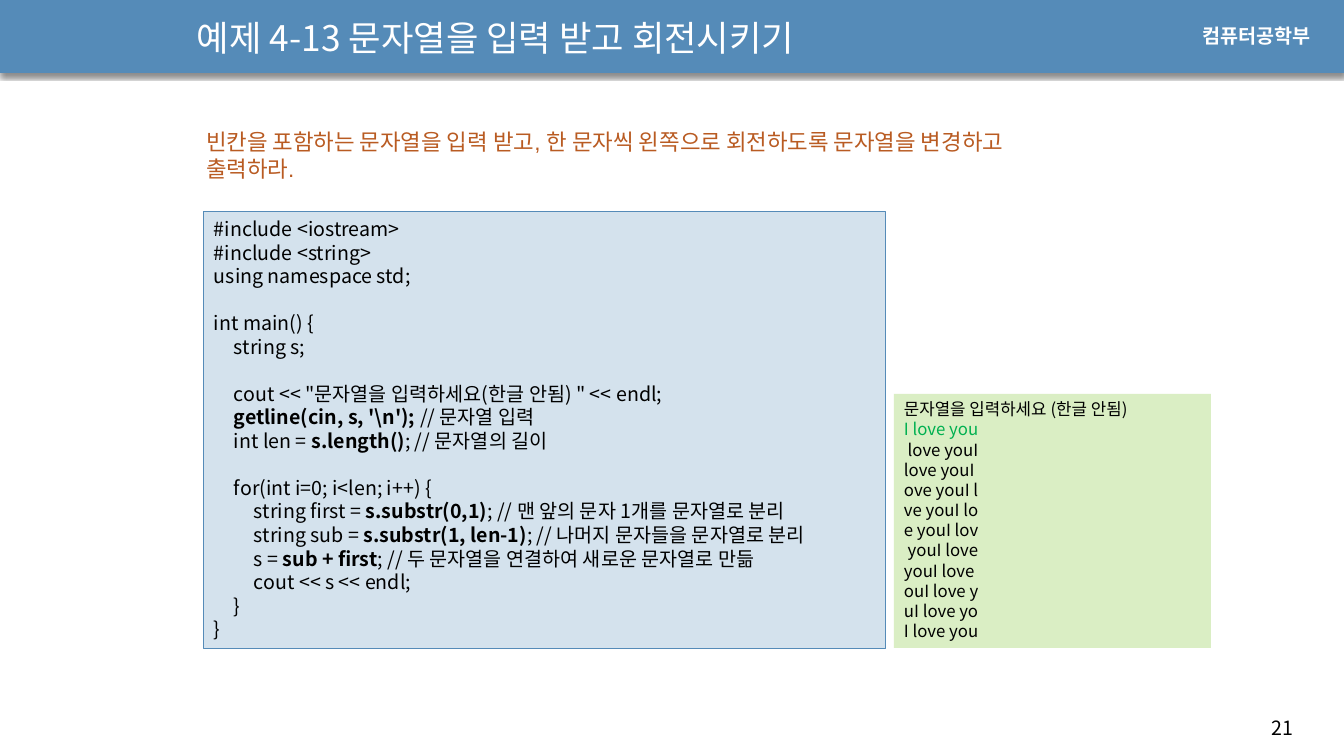
"""Build the slide for example 4-13: reading a string and rotating it."""
from dataclasses import dataclass
from typing import Optional

from lxml import etree
from pptx import Presentation
from pptx.dml.color import RGBColor
from pptx.enum.shapes import MSO_SHAPE
from pptx.enum.text import MSO_ANCHOR, MSO_AUTO_SIZE, PP_ALIGN
from pptx.oxml.ns import qn
from pptx.util import Emu, Pt

RECTANGLE = MSO_SHAPE.RECTANGLE
TOP, MIDDLE = MSO_ANCHOR.TOP, MSO_ANCHOR.MIDDLE
NO_AUTOFIT = MSO_AUTO_SIZE.NONE
LEFT = PP_ALIGN.LEFT

EMU_PER_PX = 914400 / 100.8
LINE_HEIGHT = 1.2
TAB_PX = 20

KOREAN_FONT = "Noto Sans CJK KR"
LATIN_FONT = "Arial"

BLUE = RGBColor(0x55, 0x8B, 0xB8)
PALE_BLUE = RGBColor(0xD4, 0xE2, 0xED)
PALE_GREEN = RGBColor(0xDA, 0xEE, 0xC4)
GREEN = RGBColor(0x00, 0xB0, 0x50)
RUST = RGBColor(0xB9, 0x5B, 0x22)
BLACK = RGBColor(0x00, 0x00, 0x00)
WHITE = RGBColor(0xFF, 0xFF, 0xFF)

BOLD_MARK = "**"
CODE = r"""#include <iostream>
#include <string>
using namespace std;

int main() {
    string s;

    cout << "문자열을 입력하세요(한글 안됨) " << endl;
    **getline(cin, s, '\n'); **// 문자열 입력
    int len = **s.length()**; // 문자열의 길이

    for(int i=0; i<len; i++) {
        string first = **s.substr(0,1)**; // 맨 앞의 문자 1개를 문자열로 분리
        string sub = **s.substr(1, len-1)**; // 나머지 문자들을 문자열로 분리
        s = **sub + first**; // 두 문자열을 연결하여 새로운 문자열로 만듦
        cout << s << endl;
    }
}""".replace("    ", "\t")

PROMPT = "문자열을 입력하세요 (한글 안됨)"
TYPED = "I love you"
ROTATIONS = [(TYPED[i:] + TYPED[:i]).rstrip() for i in range(1, len(TYPED) + 1)]


@dataclass(frozen=True)
class Block:
    """A piece of text with its place and look; lengths are in px."""

    text: str
    left: int
    top: int
    width: int
    height: int
    size: float
    color: RGBColor = BLACK
    font: str = KOREAN_FONT
    bold: bool = False
    fill: Optional[RGBColor] = None
    line: Optional[RGBColor] = None
    anchor: MSO_ANCHOR = TOP
    green_line: Optional[int] = None


TITLE = Block("예제 4-13 문자열을 입력 받고 회전시키기", 187, 5, 746, 64, 25.2,
              WHITE, anchor=MIDDLE)
BLOCKS = (
    Block("21", 1262, 711, 72, 34, 14),
    Block("컴퓨터공학부", 1192, 19, 138, 34, 14, WHITE, LATIN_FONT, True),
    Block("\n".join([PROMPT, TYPED, *ROTATIONS]), 894, 394, 317, 254, 12,
          fill=PALE_GREEN, green_line=1),
    Block(CODE, 204, 212, 682, 437, 14, fill=PALE_BLUE, line=BLUE),
    Block("빈칸을 포함하는 문자열을 입력 받고, 한 문자씩 왼쪽으로 회전하도록 "
          "문자열을 변경하고 출력하라.", 196, 123, 872, 65, 16, RUST, LATIN_FONT),
)


def px(length: float) -> Emu:
    """Turn px into EMU."""
    return Emu(round(length * EMU_PER_PX))


def apply(target: object, values: dict) -> None:
    """Set every attribute named in values."""
    for name, value in values.items():
        setattr(target, name, value)


def add_tabs(paragraph) -> None:
    """Give a paragraph two evenly spaced tab stops."""
    tabs = etree.SubElement(paragraph._p.get_or_add_pPr(), qn("a:tabLst"))
    for level in (1, 2):
        etree.SubElement(tabs, qn("a:tab"), pos=str(px(TAB_PX * level)), algn="l")


def write(shape, block: Block) -> None:
    """Write the block's lines into a shape, with marked parts in bold."""
    frame = shape.text_frame
    apply(frame, {"word_wrap": True, "auto_size": NO_AUTOFIT,
                  "vertical_anchor": block.anchor,
                  "margin_left": px(10), "margin_right": px(10),
                  "margin_top": px(5), "margin_bottom": px(5)})
    for index, text in enumerate(block.text.split("\n")):
        paragraph = frame.add_paragraph() if index else frame.paragraphs[0]
        if "\t" in text:
            add_tabs(paragraph)
        apply(paragraph, {"alignment": LEFT,
                          "line_spacing": Pt(block.size * LINE_HEIGHT)})
        for part, words in enumerate(text.split(BOLD_MARK)):
            if not words:
                continue
            run = paragraph.add_run()
            run.text = words
            apply(run.font, {"name": block.font, "size": Pt(block.size),
                             "bold": block.bold or part % 2 == 1})
            run.font.color.rgb = GREEN if index == block.green_line else block.color
            etree.SubElement(run._r.get_or_add_rPr(), qn("a:ea"),
                             typeface=KOREAN_FONT)


def add_panel(slide, left: int, top: int, width: int, height: int,
              fill: RGBColor, line: Optional[RGBColor] = None):
    """Add a flat filled rectangle, outlined if a line colour is given."""
    panel = slide.shapes.add_shape(RECTANGLE, px(left), px(top), px(width), px(height))
    panel.shadow.inherit = False
    panel.fill.solid()
    panel.fill.fore_color.rgb = fill
    if line is None:
        panel.line.fill.background()
    else:
        panel.line.color.rgb = line
        panel.line.width = Pt(0.75)
    return panel


def add_header(slide) -> None:
    """Add the shadowed header bar behind everything else."""
    bar = add_panel(slide, 0, -1, 1344, 74, BLUE)
    effects = bar._element.spPr.find(qn("a:effectLst"))
    shadow = etree.SubElement(effects, qn("a:outerShdw"), blurRad=str(Pt(3)),
                              dist=str(Pt(2.4)), dir="5400000", rotWithShape="0")
    color = etree.SubElement(shadow, qn("a:srgbClr"), val=str(BLACK))
    etree.SubElement(color, qn("a:alpha"), val="45000")
    slide.shapes._spTree.insert(2, bar._element)


def add_block(slide, block: Block) -> None:
    """Add a text block, as a panel when it has a fill."""
    place = (block.left, block.top, block.width, block.height)
    if block.fill is None:
        shape = slide.shapes.add_textbox(*map(px, place))
    else:
        shape = add_panel(slide, *place, block.fill, block.line)
    write(shape, block)


def main() -> None:
    """Build and save the slide."""
    deck = Presentation()
    apply(deck, {"slide_width": px(1344), "slide_height": px(756)})
    slide = deck.slides.add_slide(deck.slide_layouts.get_by_name("Title Only"))
    add_header(slide)
    title = slide.shapes.title
    apply(title, {side: px(getattr(TITLE, side))
                  for side in ("left", "top", "width", "height")})
    write(title, TITLE)
    for block in BLOCKS:
        add_block(slide, block)
    deck.save("out.pptx")


if __name__ == "__main__":
    main()
